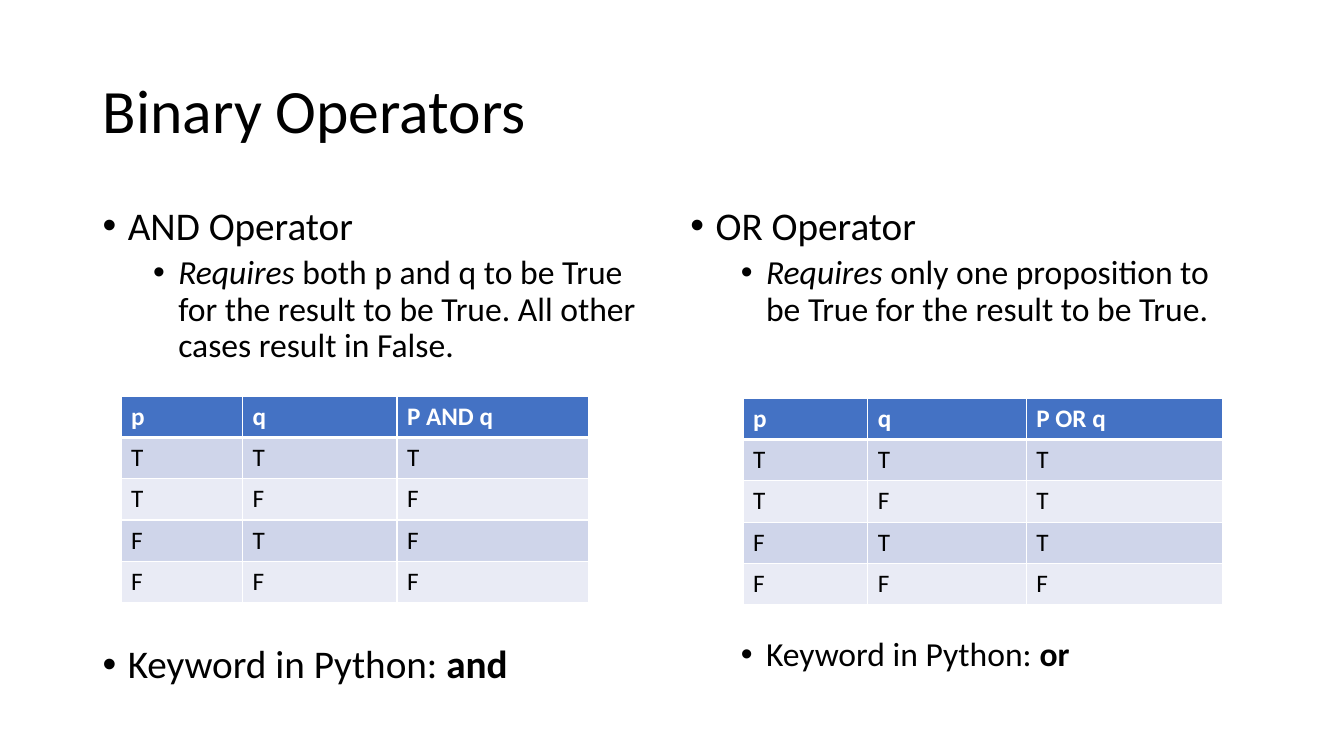
import itertools

import lxml.etree
import pptx
import pptx.dml.color
import pptx.enum.text
import pptx.oxml.ns
import pptx.util

Inches, Pt = pptx.util.Inches, pptx.util.Pt
RGB = pptx.dml.color.RGBColor.from_string
qn = pptx.oxml.ns.qn

COLORS = {"text": "000000", "white": "FFFFFF", "header": "4472C4",
          "odd": "CFD5EA", "even": "E9EBF5"}
MARGIN, COLUMN, GUTTER = 0.92, 5.67, 0.16
BODY_TOP, BODY_HEIGHT = 2, 4.99
ROW = 0.41
COLUMN_SHARES = (0.26, 0.33, 0.41)


def write(p, text, size=18, bold=False, italic=False, color="text", bullet_level=None, before=0):
    """Add a run; a bullet level also sets up the paragraph as a list item."""
    if bullet_level is not None:
        pPr = p._p.get_or_add_pPr()
        pPr.set("marL", str(Inches(0.25 + 0.5 * bullet_level)))
        pPr.set("indent", str(Inches(-0.25)))
        lxml.etree.SubElement(pPr, qn("a:buFont"), typeface="Arial")
        lxml.etree.SubElement(pPr, qn("a:buChar"), char="•")
        p.level = bullet_level
        p.line_spacing = 0.9
        p.space_before = Pt(before)
    r = p.add_run()
    r.text = text
    r.font.name = "Calibri"
    r.font.size = Pt(size)
    r.font.bold = bold
    r.font.italic = italic
    r.font.color.rgb = RGB(COLORS[color])


def add_borders(cell, **widths):
    tcPr = cell._tc.get_or_add_tcPr()
    for side, width in widths.items():
        ln = lxml.etree.SubElement(tcPr, qn(f"a:ln{side}"), w=str(Pt(width)))
        fill = lxml.etree.SubElement(ln, qn("a:solidFill"))
        lxml.etree.SubElement(fill, qn("a:srgbClr"), val=COLORS["white"])


prs = pptx.Presentation()
prs.slide_width, prs.slide_height = Inches(13.33), Inches(7.5)
s = prs.slides.add_slide(prs.slide_layouts[5])

title = s.shapes.title
title.left, title.top = Inches(MARGIN), Inches(0.4)
title.width, title.height = Inches(2 * COLUMN + GUTTER), Inches(1.45)
tf = title.text_frame
tf.auto_size = pptx.enum.text.MSO_AUTO_SIZE.NONE
tf.vertical_anchor = pptx.enum.text.MSO_ANCHOR.MIDDLE
p = tf.paragraphs[0]
p.alignment = pptx.enum.text.PP_ALIGN.LEFT
p.line_spacing = 0.9
write(p, "Binary Operators", size=44)

# Each operator: name, rule, truth function, table place and width, keyword format
operators = [
    ("AND", " both p and q to be True for the result to be True. All other cases result in False.",
     all, (1.2, 3.93, 4.64), dict(size=28, bullet_level=0, before=200)),
    ("OR", " only one proposition to be True for the result to be True.",
     any, (7.37, 3.95, 4.76), dict(size=24, bullet_level=1, before=221)),
]

for i, (name, rule, combine, place, keyword) in enumerate(operators):
    left = MARGIN + i * (COLUMN + GUTTER)
    box = s.shapes.add_textbox(Inches(left), Inches(BODY_TOP), Inches(COLUMN), Inches(BODY_HEIGHT))
    tf = box.text_frame
    tf.word_wrap = True
    write(tf.paragraphs[0], f"{name} Operator", size=28, bullet_level=0)
    p = tf.add_paragraph()
    write(p, "Requires", size=24, italic=True, bullet_level=1, before=5)
    write(p, rule, size=24)
    p = tf.add_paragraph()
    write(p, "Keyword in Python: ", **keyword)
    write(p, name.lower(), size=keyword["size"], bold=True)

    rows = [("p", "q", f"P {name} q")]
    for values in itertools.product((True, False), repeat=2):
        rows.append(["T" if v else "F" for v in (*values, combine(values))])

    x, y, width = place
    table = s.shapes.add_table(len(rows), len(COLUMN_SHARES), Inches(x), Inches(y),
                               Inches(width), Inches(ROW * len(rows))).table
    for column, share in zip(table.columns, COLUMN_SHARES):
        column.width = Inches(width * share)
    for n, row in enumerate(rows):
        table.rows[n].height = Inches(ROW)
        header = n == 0
        fill = "header" if header else "odd" if n % 2 else "even"
        for c, text in enumerate(row):
            cell = table.cell(n, c)
            add_borders(cell, L=1, R=1, T=3 if n == 1 else 1, B=3 if header else 1)
            cell.fill.solid()
            cell.fill.fore_color.rgb = RGB(COLORS[fill])
            write(cell.text_frame.paragraphs[0], text, bold=header,
                  color="white" if header else "text")

prs.save("out.pptx")
